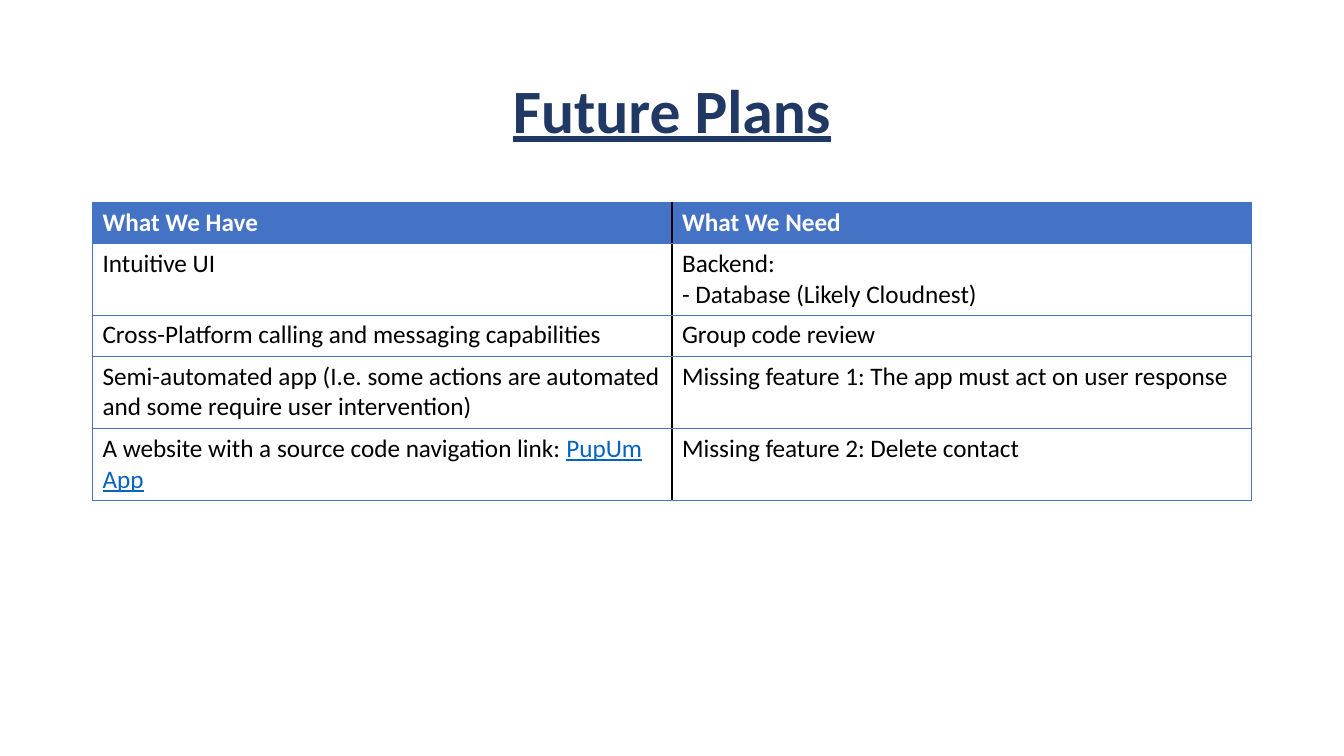
"""Build the Future Plans slide with its two-column table."""
import pptx
import pptx.util
import pptx.dml.color
import pptx.enum.text
import pptx.oxml
import pptx.oxml.ns
from pptx.util import Cm

COLORS = {"title": "203864", "blue": "4472C4", "white": "FFFFFF",
          "black": "000000", "link": "0563C1"}
ROWS = [
    ("What We Have", "What We Need"),
    ("Intuitive UI", "Backend:\n- Database (Likely Cloudnest)"),
    ("Cross-Platform calling and messaging capabilities", "Group code review"),
    ("Semi-automated app (I.e. some actions are automated and some require user intervention)",
     "Missing feature 1: The app must act on user response"),
    ("A website with a source code navigation link: ", "Missing feature 2: Delete contact"),
]
HEIGHTS = [1.04, 1.8, 1.04, 1.82, 1.82]


def style_run(r, size, color, bold=False, underline=False):
    r.font.name = "Calibri"
    r.font.size = pptx.util.Pt(size)
    r.font.bold = bold
    r.font.underline = underline
    r.font.color.rgb = pptx.dml.color.RGBColor.from_string(COLORS[color])


def add_border(cell, side, color, width):
    cell._tc.get_or_add_tcPr().append(pptx.oxml.parse_xml(
        f'<a:ln{side} {pptx.oxml.ns.nsdecls("a")} w="{pptx.util.Pt(width)}">'
        f'<a:solidFill><a:srgbClr val="{COLORS[color]}"/></a:solidFill></a:ln{side}>'))


prs = pptx.Presentation()
prs.slide_width, prs.slide_height = Cm(33.87), Cm(19.05)
s = prs.slides.add_slide(prs.slide_layouts[5])

title = s.shapes.title
title.left, title.top, title.width, title.height = Cm(2.33), Cm(1.01), Cm(29.21), Cm(3.68)
tf = title.text_frame
tf.text = "Future Plans"
tf.vertical_anchor = pptx.enum.text.MSO_ANCHOR.MIDDLE
p = tf.paragraphs[0]
p.alignment = pptx.enum.text.PP_ALIGN.CENTER
p.line_spacing = 0.9
style_run(p.runs[0], 44, "title", bold=True, underline=True)

table = s.shapes.add_table(len(ROWS), 2, Cm(2.33), Cm(5.09), Cm(29.21), Cm(sum(HEIGHTS))).table
table.horz_banding = False
for i, (texts, height) in enumerate(zip(ROWS, HEIGHTS)):
    table.rows[i].height = Cm(height)
    header = i == 0
    for j, text in enumerate(texts):
        cell = table.cell(i, j)
        cell.text = text
        for p in cell.text_frame.paragraphs:
            for r in p.runs:
                style_run(r, 18, "white" if header else "black", bold=header)
        outer, inner = ("blue", 0.5), ("black", 1)
        add_border(cell, "L", *(inner if j else outer))
        add_border(cell, "R", *(outer if j else inner))
        add_border(cell, "T", *outer)
        add_border(cell, "B", *outer)
        if header:
            cell.fill.solid()
            cell.fill.fore_color.rgb = pptx.dml.color.RGBColor.from_string(COLORS["blue"])
        else:
            cell.fill.background()

r = table.cell(4, 0).text_frame.paragraphs[0].add_run()
r.text = "PupUm App"
style_run(r, 18, "link", underline=True)

prs.save("out.pptx")
